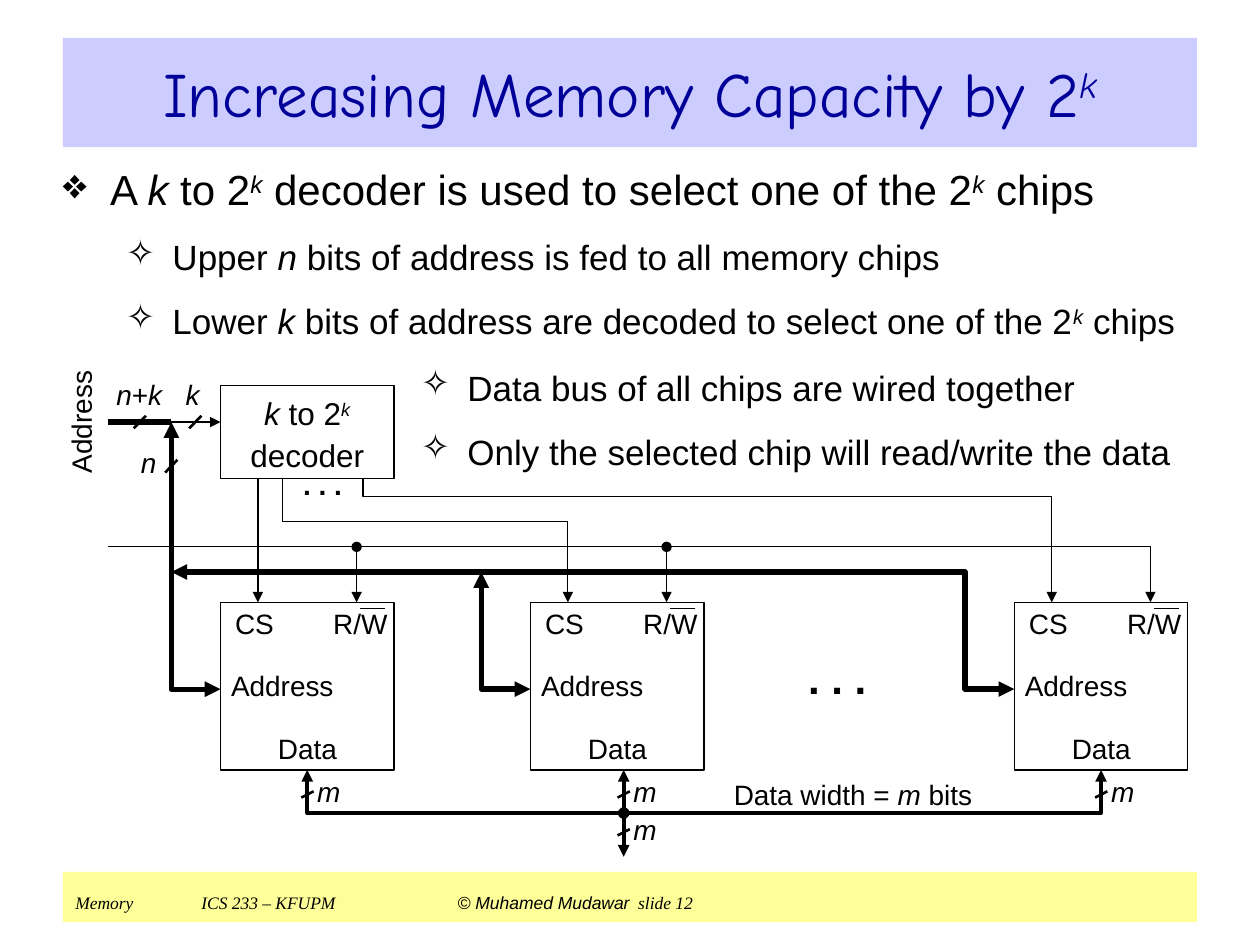
from typing import NamedTuple

from lxml.etree import SubElement
from pptx import Presentation
from pptx.dml.color import RGBColor
from pptx.enum.shapes import MSO_CONNECTOR as Conn, MSO_SHAPE as Shape
from pptx.enum.text import MSO_ANCHOR as Anchor, PP_ALIGN as Align
from pptx.oxml.ns import qn
from pptx.util import Pt

BLACK = "000000"
CHIP_W, CHIP_H, CHIP_TOP = 99.2, 95.8, 344.2
CHIP_XS = (126, 303.1, 579.6)
PIN_Y = CHIP_TOP + 49.6      # address input of every chip
ADDRESS_Y = 241.2            # address input of the decoder
DECODER_BOTTOM = 273.6
RW_Y, BUS_Y, DATA_Y = 312.5, 326.9, 464.6
ADDRESS_X, DATA_X = 97.9, 356.4


class Label(NamedTuple):
    text: str
    x: float
    y: float
    w: float
    h: float = 17.3


class Wire(NamedTuple):
    points: tuple
    width: float = 0.75
    head: str = ""
    tail: str = ""


class Bullet(NamedTuple):
    char: str
    left: float
    hang: float
    size: float
    before: float


MAIN = Bullet("❖", 27, 27, 24, 15)
SUB = Bullet("✧", 62.6, 26.6, 20, 12.5)

CHIP_LABELS = (
    Label("CS", 3.6, 3.6, 31.7),
    Label("R/W", 64.1, 3.6, 31.7),
    Label("Address", 0, 38.9, 70.6),
    Label("Data", 14.4, 74.9, 70.6),
)


def rgb(value):
    return RGBColor.from_string(value)


def add_run(p, text, size, font="Arial", color=BLACK, bold=False, italic=False, sup=False):
    r = p.add_run()
    r.text = text
    r.font.size, r.font.name = Pt(size), font
    r.font.bold, r.font.italic = bold, italic
    r.font.color.rgb = rgb(color)
    if sup:
        r.font._element.set("baseline", "30000")


def add_marked(p, text, size, **style):
    """Add runs split by |; a leading * means italic, ^ an italic superscript."""
    for part in text.split("|"):
        sup = part.startswith("^")
        italic = sup or part.startswith("*")
        add_run(p, part[1:] if italic else part, size, italic=italic, sup=sup, **style)


def set_frame(sp, anchor, inset_x=0.0, inset_y=0.0):
    tf = sp.text_frame
    tf.word_wrap = True
    tf.vertical_anchor = anchor
    tf.margin_left = tf.margin_right = Pt(inset_x)
    tf.margin_top = tf.margin_bottom = Pt(inset_y)
    return tf


def add_box(s, x, y, w, h, fill=None, outlined=False):
    sp = s.shapes.add_shape(Shape.RECTANGLE, Pt(x), Pt(y), Pt(w), Pt(h))
    sp.shadow.inherit = False
    if fill:
        sp.fill.solid()
        sp.fill.fore_color.rgb = rgb(fill)
    else:
        sp.fill.background()
    if outlined:
        sp.line.color.rgb = rgb(BLACK)
        sp.line.width = Pt(0.75)
    else:
        sp.line.fill.background()
    return sp


def add_label(s, label: Label, dx=0.0, dy=0.0, size=16, bold=False, rotation=0):
    sp = s.shapes.add_textbox(Pt(label.x + dx), Pt(label.y + dy), Pt(label.w), Pt(label.h))
    sp.rotation = rotation
    p = set_frame(sp, Anchor.MIDDLE).paragraphs[0]
    p.alignment = Align.CENTER
    add_marked(p, label.text, size, bold=bold)


def add_wire(s, wire: Wire):
    points = [(Pt(x), Pt(y)) for x, y in wire.points]
    if len(points) == 2:
        sp = s.shapes.add_connector(Conn.STRAIGHT, *points[0], *points[1])
    else:
        builder = s.shapes.build_freeform(*points[0], scale=1.0)
        builder.add_line_segments(points[1:], close=False)
        sp = builder.convert_to_shape()
        sp.fill.background()
    sp.line.color.rgb = rgb(BLACK)
    sp.line.width = Pt(wire.width)
    spPr = sp._element.spPr
    ln = spPr.find(qn("a:ln"))
    for tag, kind in (("a:headEnd", wire.head), ("a:tailEnd", wire.tail)):
        if kind:
            SubElement(ln, qn(tag), type=kind)
    SubElement(spPr, qn("a:effectLst"))


def add_bullets(s, x, y, w, h, items):
    sp = s.shapes.add_textbox(Pt(x), Pt(y), Pt(w), Pt(h))
    tf = set_frame(sp, Anchor.TOP, inset_y=3.6)
    for i, (style, text) in enumerate(items):
        p = tf.add_paragraph() if i else tf.paragraphs[0]
        p.level = 1 if style is SUB else 0
        pPr = p._p.get_or_add_pPr()
        pPr.set("marL", str(Pt(style.left)))
        pPr.set("indent", str(-Pt(style.hang)))
        SubElement(SubElement(pPr, qn("a:buClr")), qn("a:srgbClr"), val=BLACK)
        SubElement(pPr, qn("a:buChar"), char=style.char)
        p.space_before = Pt(style.before if i else 0)
        add_marked(p, text, style.size)


def add_footer(s):
    sp = add_box(s, 36, 498.2, 648, 28.8, fill="FFFF99")
    p = set_frame(sp, Anchor.TOP, 7.2, 3.6).paragraphs[0]
    p.alignment = Align.LEFT
    tabs = SubElement(p._p.get_or_add_pPr(), qn("a:tabLst"))
    for stop in (72, 216):
        SubElement(tabs, qn("a:tab"), pos=str(Pt(stop)), algn="l")
    serif = "Times New Roman"
    add_run(p, "Memory\tICS 233 – KFUPM\t ", 10, serif, italic=True)
    add_run(p, "© Muhamed Mudawar", 10, italic=True)
    add_run(p, " ", 18)
    add_run(p, "slide 12", 10, serif, italic=True)


def add_title(s):
    sp = add_box(s, 36, 21.6, 648, 62.6, fill="CCCCFF")
    p = set_frame(sp, Anchor.MIDDLE, 7.2, 3.6).paragraphs[0]
    p.alignment = Align.CENTER
    add_marked(p, "Increasing Memory Capacity by 2|^k", 36, font="Comic Neue", color="000099")


def add_chip(s, x):
    add_box(s, x, CHIP_TOP, CHIP_W, CHIP_H, fill="FFFFFF", outlined=True)
    for label in CHIP_LABELS:
        add_label(s, label, x, CHIP_TOP)
    bar_y = CHIP_TOP + 3.6
    add_wire(s, Wire(((x + 79.9, bar_y), (x + 94.3, bar_y))))


def add_decoder(s):
    sp = add_box(s, CHIP_XS[0], 220.3, CHIP_W, DECODER_BOTTOM - 220.3, outlined=True)
    tf = set_frame(sp, Anchor.MIDDLE)
    for p, text in ((tf.paragraphs[0], "*k| to 2|^k"), (tf.add_paragraph(), "decoder")):
        p.alignment = Align.CENTER
        p.line_spacing = 1.1
        add_marked(p, text, 18)


def add_slash(s, x, y, half_w=3.5, half_h=3.6):
    """Mark a bus with a short stroke centred on x, y."""
    add_wire(s, Wire(((x - half_w, y + half_h), (x + half_w, y - half_h)), 1.5))


def make_wires():
    x1, x2, x3 = CHIP_XS
    both = dict(width=3, head="triangle", tail="triangle")
    chip_bottom = CHIP_TOP + CHIP_H
    data_x1, data_x3 = x1 + CHIP_W / 2, x3 + CHIP_W / 2
    bus_x2, bus_x3 = x2 - 28.1, x3 - 28.1
    cs, rw = 21.4, 77.8
    yield Wire(((ADDRESS_X, BUS_Y), (bus_x3, BUS_Y), (bus_x3, PIN_Y), (x3, PIN_Y)), **both)
    yield Wire(((x2, PIN_Y), (bus_x2, PIN_Y), (bus_x2, BUS_Y)), **both)
    yield Wire(((x1, PIN_Y), (ADDRESS_X, PIN_Y), (ADDRESS_X, ADDRESS_Y)), **both)
    yield Wire(((61.9, RW_Y), (x3 + rw, RW_Y), (x3 + rw, CHIP_TOP)), tail="triangle")
    for x in (x1, x2):
        yield Wire(((x + rw, RW_Y), (x + rw, CHIP_TOP)), head="oval", tail="triangle")
    yield Wire(((x1 + cs, DECODER_BOTTOM), (x1 + cs, CHIP_TOP)), tail="triangle")
    for x, y, out in ((x2 + cs, 298.1, 161.3), (x3 + cs, 283.7, 207.4)):
        yield Wire(((x, CHIP_TOP), (x, y), (out, y), (out, DECODER_BOTTOM)), head="triangle")
    yield Wire(((DATA_X, chip_bottom), (DATA_X, DATA_Y)), 2.25, "triangle", "oval")
    yield Wire(((data_x1, chip_bottom), (data_x1, DATA_Y), (DATA_X, DATA_Y), (DATA_X, 489.6)),
               2.25, "triangle", "triangle")
    yield Wire(((DATA_X, DATA_Y), (data_x3, DATA_Y), (data_x3, chip_bottom)), 2.25, tail="triangle")
    yield Wire(((ADDRESS_X, ADDRESS_Y), (x1, ADDRESS_Y)), 1.5, tail="triangle")
    yield Wire(((61.9, ADDRESS_Y), (ADDRESS_X, ADDRESS_Y)), 3)


def main():
    prs = Presentation()
    prs.slide_width, prs.slide_height = Pt(720), Pt(540)
    s = prs.slides.add_slide(prs.slide_layouts[6])
    add_footer(s)
    add_title(s)
    add_bullets(s, 36, 90, 648, 119.5, (
        (MAIN, "A |*k| to 2|^k| decoder is used to select one of the 2|^k| chips"),
        (SUB, "Upper |*n| bits of address is fed to all memory chips"),
        (SUB, "Lower |*k| bits of address are decoded to select one of the 2|^k| chips"),
    ))
    for x in CHIP_XS:
        add_chip(s, x)
    add_decoder(s)
    for wire in make_wires():
        add_wire(s, wire)
    for x, y in ((79.9, ADDRESS_Y), (111.6, ADDRESS_Y), (ADDRESS_X, 266.4)):
        add_slash(s, x, y)
    for x, y in ((175.7, 454), (DATA_X, 454), (629.3, 454), (DATA_X, 475.6)):
        add_slash(s, x, y, half_h=1.8)
        add_label(s, Label("*m", x + 3.6, y - 10.5, 17.3))
    for label in (Label("Data width = |*m| bits", 398.9, 443.5, 177.1, 20.9),
                  Label("*n", 76.3, 255.6, 17.3), Label("*n|+|*k", 65.5, 216.7, 28.1),
                  Label("*k", 101.5, 216.7, 17.3)):
        add_label(s, label)
    add_label(s, Label(". . .", 430.6, 373, 95.8, 28.1), size=24, bold=True)
    add_label(s, Label(". . .", 161.3, 266.4, 46.1, 20.9), bold=True)
    add_label(s, Label("Address", 10.8, 232.6, 70.6), rotation=270)
    add_bullets(s, 204.5, 205.9, 481.7, 81.4, (
        (SUB, "Data bus of all chips are wired together"),
        (SUB, "Only the selected chip will read/write the data"),
    ))
    prs.save("out.pptx")


if __name__ == "__main__":
    main()
